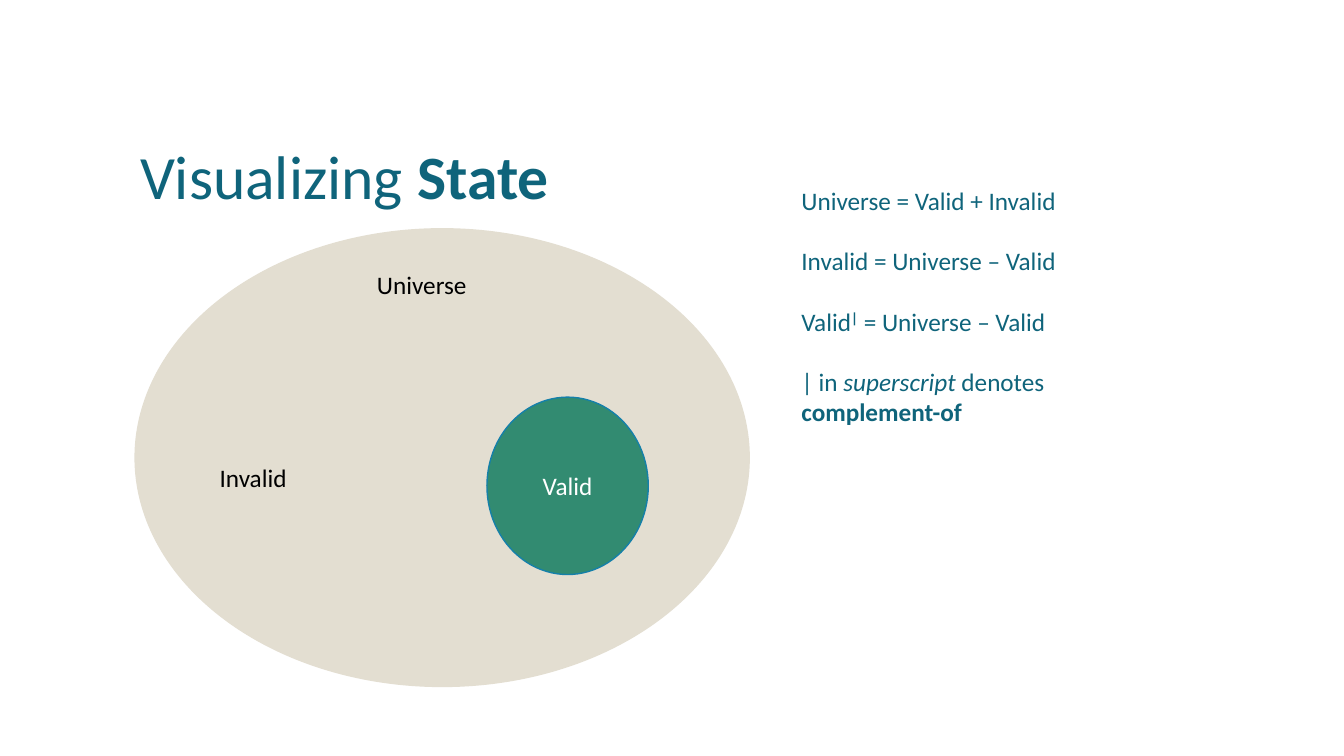
from dataclasses import dataclass

from pptx import Presentation
from pptx.dml.color import RGBColor
from pptx.enum.shapes import MSO_SHAPE
from pptx.enum.text import MSO_ANCHOR, PP_ALIGN
from pptx.util import Inches, Pt

OVAL = MSO_SHAPE.OVAL
TOP, MIDDLE = MSO_ANCHOR.TOP, MSO_ANCHOR.MIDDLE
LEFT, CENTER = PP_ALIGN.LEFT, PP_ALIGN.CENTER


@dataclass(frozen=True)
class Theme:
    font: str = "Calibri"
    title_size: float = 44
    body_size: float = 18
    paragraph_gap: float = 21.5
    teal: str = "0F647B"
    black: str = "000000"
    white: str = "FFFFFF"
    sand: str = "E3DED1"
    green: str = "328B71"
    blue: str = "1580A9"


THEME = Theme()

TITLE = [[("Visualizing ", ""), ("State", "bold")]]
EQUATIONS = [
    [("Universe = Valid + Invalid", "")],
    [("Invalid = Universe – Valid", "")],
    [("Valid", ""), ("|", "bold super"), (" = Universe – Valid", "")],
    [("| in ", ""), ("superscript", "italic"), (" denotes ", ""), ("complement-of", "bold")],
]
UNIVERSE = [[("Universe", "")]]
INVALID = [[("Invalid", "")]]
VALID = [[("Valid", "")]]

TITLE_BOX = (1.29, 0.95, 10.71, 1.67)
UNIVERSE_OVAL = (1.34, 2.27, 6.09, 4.54)
UNIVERSE_LABEL = (3.64, 2.62, 1.22, 0.4)
VALID_OVAL = (4.83, 3.94, 1.6, 1.76)
INVALID_LABEL = (2.08, 4.54, 1, 0.4)
EQUATIONS_BOX = (7.85, 1.79, 3.84, 2.83)


def rgb(value):
    return RGBColor.from_string(value)


def write(sp, paragraphs, color, size=THEME.body_size, anchor=TOP, align=LEFT, spacing=1.0):
    tf = sp.text_frame
    tf.word_wrap = True
    tf.vertical_anchor = anchor
    for i, runs in enumerate(paragraphs):
        p = tf.add_paragraph() if i else tf.paragraphs[0]
        p.alignment = align
        p.line_spacing = spacing
        p.space_before = Pt(THEME.paragraph_gap if i else 0)
        for text, style in runs:
            r = p.add_run()
            r.text = text
            r.font.name = THEME.font
            r.font.size = Pt(size)
            r.font.color.rgb = rgb(color)
            r.font.bold = "bold" in style
            r.font.italic = "italic" in style
            if "super" in style:
                r.font._element.set("baseline", "30000")


def add_text(s, box, paragraphs, color, **options):
    sp = s.shapes.add_textbox(*map(Inches, box))
    write(sp, paragraphs, color, **options)


def add_oval(s, box, fill, line):
    sp = s.shapes.add_shape(OVAL, *map(Inches, box))
    sp.shadow.inherit = False
    sp.fill.solid()
    sp.fill.fore_color.rgb = rgb(fill)
    sp.line.color.rgb = rgb(line)
    sp.line.width = Pt(1)
    return sp


prs = Presentation()
prs.slide_width, prs.slide_height = Inches(13.33), Inches(7.5)
s = prs.slides.add_slide(prs.slide_layouts[6])

add_text(s, TITLE_BOX, TITLE, THEME.teal, size=THEME.title_size, anchor=MIDDLE, spacing=0.9)
add_oval(s, UNIVERSE_OVAL, THEME.sand, THEME.sand)
add_text(s, UNIVERSE_LABEL, UNIVERSE, THEME.black)
valid = add_oval(s, VALID_OVAL, THEME.green, THEME.blue)
write(valid, VALID, THEME.white, anchor=MIDDLE, align=CENTER)
add_text(s, INVALID_LABEL, INVALID, THEME.black)
add_text(s, EQUATIONS_BOX, EQUATIONS, THEME.teal)

prs.save("out.pptx")
